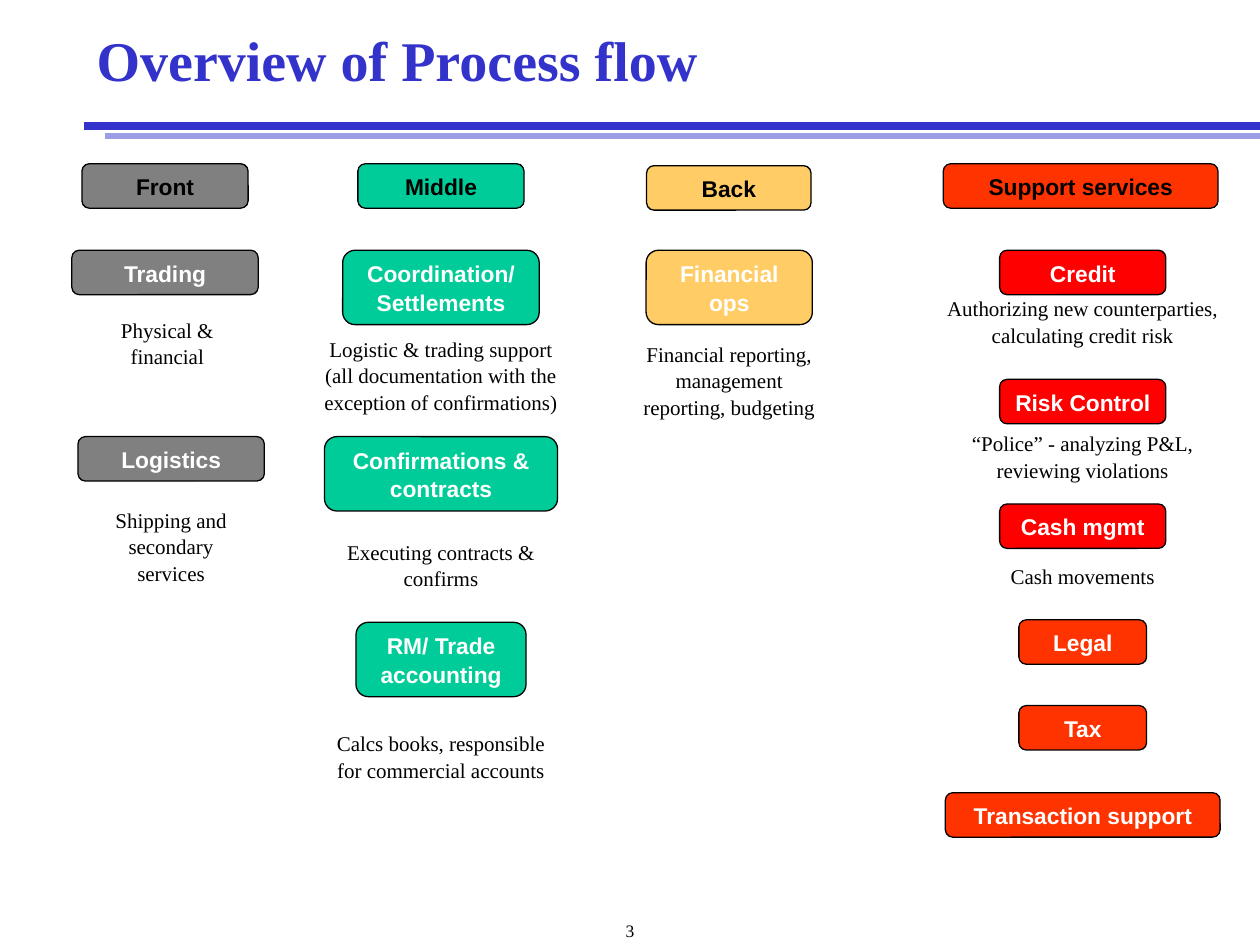
from lxml import etree
from pptx import Presentation
from pptx.dml.color import RGBColor
from pptx.enum import shapes, text
from pptx.oxml.ns import qn
from pptx.util import Pt

HUES = {
    "blue": "3333CC", "pale": "9D9DE7", "gray": "808080", "green": "00CC99",
    "gold": "FFCC66", "orange": "FF3300", "red": "FF0000",
    "black": "000000", "white": "FFFFFF",
}
SERIF, SANS = "Times New Roman", "Arial"
TITLE = "Overview of Process flow"
PAGE = "3"

RULES = [(48, 72, "blue", 4.5), (60, 77.8, "pale", 3)]

# label, centre, top, width, fill
HEADS = [
    ("Front", 94.3, 93.6, 95, "gray"),
    ("Middle", 252, 93.6, 95, "green"),
    ("Back", 416.5, 94.7, 94, "gold"),
    ("Support services", 617.5, 93.6, 157, "orange"),
]

# label, centre, top, width, lines, fill
STEPS = [
    ("Trading", 94.3, 143, 106.5, 1, "gray"),
    ("Logistics", 97.8, 249.5, 106.5, 1, "gray"),
    ("Coordination/ Settlements", 252, 143, 112.3, 2, "green"),
    ("Confirmations & contracts", 252, 249.5, 133.2, 2, "green"),
    ("RM/ Trade accounting", 252, 355.6, 97.2, 2, "green"),
    ("Financial ops", 416.7, 143, 95, 2, "gold"),
    ("Credit", 618.7, 143, 95, 1, "red"),
    ("Risk Control", 618.7, 216.8, 95, 1, "red"),
    ("Cash mgmt", 618.7, 288, 95, 1, "red"),
    ("Legal", 618.7, 354.2, 73, 1, "orange"),
    ("Tax", 618.7, 403.2, 73, 1, "orange"),
    ("Transaction support", 618.7, 453, 157, 1, "orange"),
]

# text, centre, top, width, lines
NOTES = [
    ("Physical & financial", 95.6, 177.1, 90.7, 2),
    ("Shipping and secondary services", 97.8, 285.8, 90.7, 3),
    ("Logistic & trading support (all documentation with the "
     "exception of confirmations)", 252, 187.9, 149, 3),
    ("Executing contracts & confirms", 252, 303.8, 149, 2),
    ("Calcs books, responsible for commercial accounts", 252, 413.3, 149, 2),
    ("Financial reporting, management reporting, budgeting",
     416.7, 190.8, 119.5, 3),
    ("Authorizing new counterparties, calculating credit risk",
     618.7, 164.9, 170.6, 2),
    ("“Police” - analyzing P&L, reviewing violations",
     618.7, 241.9, 170.6, 2),
    ("Cash movements", 618.7, 317.5, 108.7, 1),
]


def hue(name):
    return RGBColor.from_string(HUES[name])


def write(shape, words, font, size, ink, bold=False,
          align=text.PP_ALIGN.CENTER, anchor=text.MSO_ANCHOR.TOP, pitch=1.05):
    frame = shape.text_frame
    frame.word_wrap = True
    frame.vertical_anchor = anchor
    para = frame.paragraphs[0]
    para.alignment = align
    para.line_spacing = pitch
    run = para.add_run()
    run.text = words
    run.font.name = font
    run.font.size = Pt(size)
    run.font.bold = bold
    run.font.color.rgb = hue(ink)


def add_rule(left, top, ink, width):
    rule = slide.shapes.add_connector(
        shapes.MSO_CONNECTOR.STRAIGHT, Pt(720), Pt(top), Pt(left), Pt(top))
    rule.line.color.rgb = hue(ink)
    rule.line.width = Pt(width)
    etree.SubElement(rule._element.spPr, qn("a:effectLst"))


def add_box(label, centre, top, width, lines, fill, ink):
    box = slide.shapes.add_shape(
        shapes.MSO_SHAPE.ROUNDED_RECTANGLE, Pt(centre - width / 2), Pt(top),
        Pt(width), Pt(8.3 + 17.1 * lines))
    box.shadow.inherit = False
    box.fill.solid()
    box.fill.fore_color.rgb = hue(fill)
    box.line.color.rgb = hue("black")
    box.line.width = Pt(0.75)
    write(box, label, SANS, 13, ink, True, anchor=text.MSO_ANCHOR.MIDDLE)


def add_note(words, centre, top, width, lines):
    note = slide.shapes.add_textbox(
        Pt(centre - width / 2), Pt(top), Pt(width), Pt(7.2 + 14.4 * lines))
    write(note, words, SERIF, 12, "black")


deck = Presentation()
deck.slide_width, deck.slide_height = Pt(720), Pt(540)
slide = deck.slides.add_slide(deck.slide_layouts[5])

title = slide.shapes.title
title.left, title.top, title.width, title.height = Pt(48), Pt(0), Pt(654), Pt(72)
write(title, TITLE, SERIF, 32, "blue", True, text.PP_ALIGN.LEFT,
      text.MSO_ANCHOR.MIDDLE, 0.9)

for rule in RULES:
    add_rule(*rule)
for label, centre, top, width, fill in HEADS:
    add_box(label, centre, top, width, 1, fill, "black")
for step in STEPS:
    add_box(*step, "white")
for note in NOTES:
    add_note(*note)

foot = slide.shapes.add_textbox(Pt(0), Pt(522), Pt(720), Pt(12.2))
write(foot, PAGE, SERIF, 10, "black", pitch=1)

deck.save("out.pptx")
